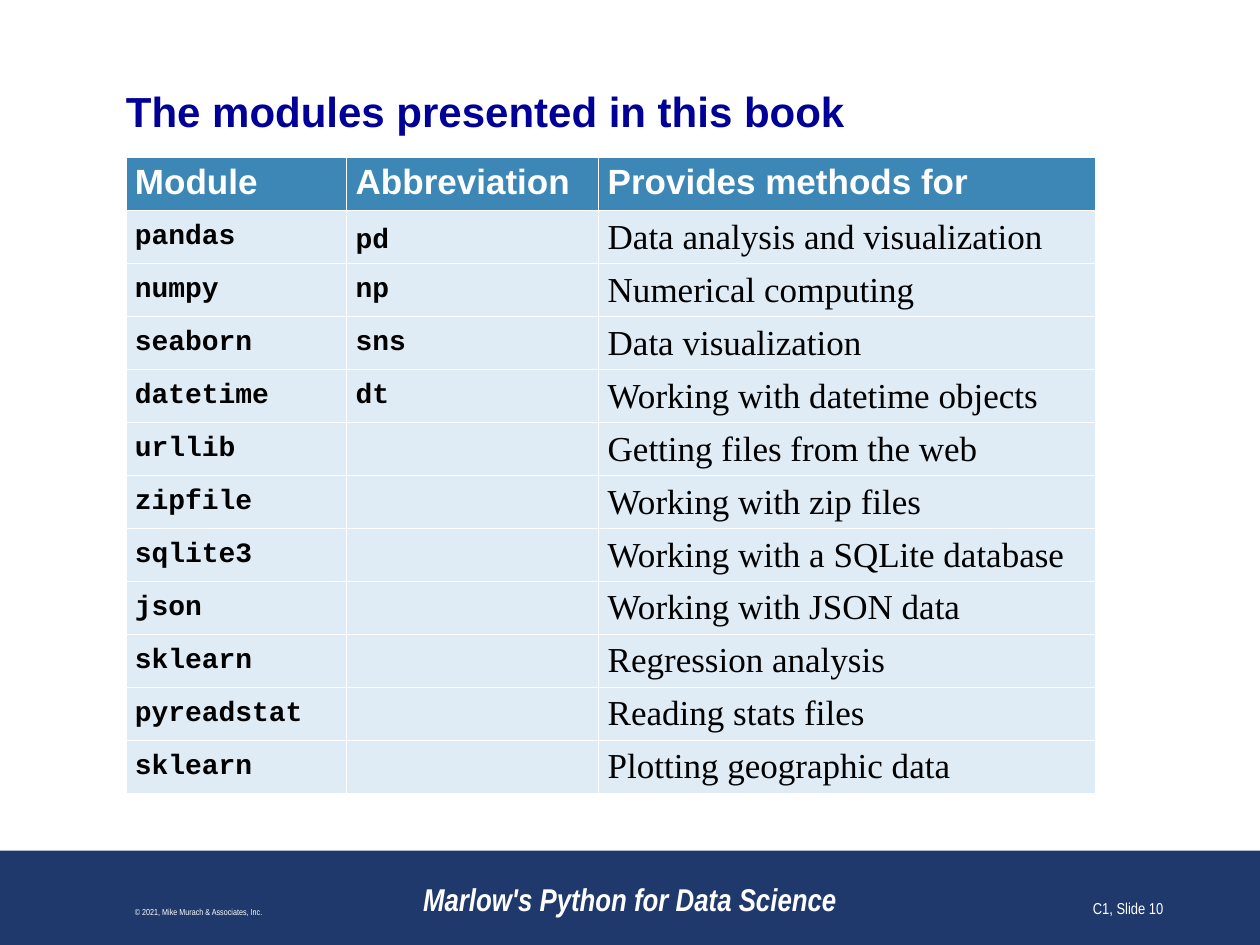
"""Build the slide that lists the modules presented in the book."""
from pptx import Presentation
from pptx import util as u
from pptx.dml.color import RGBColor
from pptx.enum import shapes, text

NAVY = RGBColor(0x20, 0x39, 0x6D)
TITLE_BLUE = RGBColor(0x00, 0x00, 0x99)
HEADER_BLUE = RGBColor(0x3D, 0x87, 0xB7)
PALE_BLUE = RGBColor(0xDF, 0xEC, 0xF5)
WHITE = RGBColor(0xFF, 0xFF, 0xFF)
BLACK = RGBColor(0x00, 0x00, 0x00)

HEADERS = ("Module", "Abbreviation", "Provides methods for")
MODULES = [
    ("pandas", "pd", "Data analysis and visualization"),
    ("numpy", "np", "Numerical computing"),
    ("seaborn", "sns", "Data visualization"),
    ("datetime", "dt", "Working with datetime objects"),
    ("urllib", "", "Getting files from the web"),
    ("zipfile", "", "Working with zip files"),
    ("sqlite3", "", "Working with a SQLite database"),
    ("json", "", "Working with JSON data"),
    ("sklearn", "", "Regression analysis"),
    ("pyreadstat", "", "Reading stats files"),
    ("sklearn", "", "Plotting geographic data"),
]
COL_WIDTHS = (4.45, 5.08, 10.01)
ROW_HEIGHT = 1.04


def add_run(p, words, font, size, color, bold=False, italic=False):
    r = p.add_run()
    r.text = words
    r.font.name = font
    r.font.size = u.Pt(size)
    r.font.color.rgb = color
    r.font.bold = bold
    r.font.italic = italic


def add_box(s, left, top, width, height, anchor, align):
    tf = s.shapes.add_textbox(u.Cm(left), u.Cm(top), u.Cm(width), u.Cm(height)).text_frame
    tf.word_wrap = True
    tf.vertical_anchor = anchor
    tf.paragraphs[0].alignment = align
    return tf


prs = Presentation()
prs.slide_width = u.Cm(25.4)
prs.slide_height = u.Cm(19.05)
s = prs.slides.add_slide(prs.slide_layouts[6])

footer = s.shapes.add_shape(
    shapes.MSO_SHAPE.RECTANGLE, 0, u.Cm(17.15), prs.slide_width, u.Cm(1.9))
footer.shadow.inherit = False
footer.fill.solid()
footer.fill.fore_color.rgb = NAVY
footer.line.fill.background()

tf = add_box(s, 2.54, 1.73, 20.32, 1.02, text.MSO_ANCHOR.MIDDLE, text.PP_ALIGN.LEFT)
tf.margin_left = tf.margin_right = tf.margin_top = tf.margin_bottom = 0
add_run(tf.paragraphs[0], "The modules presented in this book", "Arial", 24, TITLE_BLUE, True)

rows = [HEADERS] + MODULES
table = s.shapes.add_table(
    len(rows), len(HEADERS), u.Cm(2.54), u.Cm(3.18),
    u.Cm(sum(COL_WIDTHS)), u.Cm(ROW_HEIGHT * len(rows))).table
table.horz_banding = False
for column, width in zip(table.columns, COL_WIDTHS):
    column.width = u.Cm(width)

for i, row in enumerate(rows):
    table.rows[i].height = u.Cm(ROW_HEIGHT)
    for j, words in enumerate(row):
        cell = table.cell(i, j)
        cell.margin_left = cell.margin_right = u.Cm(0.18)
        cell.margin_top = cell.margin_bottom = u.Cm(0.11)
        cell.fill.solid()
        cell.fill.fore_color.rgb = PALE_BLUE if i else HEADER_BLUE
        cell.vertical_anchor = text.MSO_ANCHOR.MIDDLE if i else text.MSO_ANCHOR.TOP
        p = cell.text_frame.paragraphs[0]
        p.space_after = u.Pt(3 if i else 6)
        if not words:
            p.font.size = u.Pt(16)
        elif i == 0:
            add_run(p, words, "Arial", 20, WHITE, True)
        elif j < 2:
            add_run(p, words, "Courier New", 16, BLACK, True)
        else:
            add_run(p, words, "Times New Roman", 20, BLACK)
add_run(table.cell(1, 1).text_frame.paragraphs[0], " ", "Times New Roman", 20, BLACK)

for left, width, align, words, size, strong in (
    (7.62, 10.16, text.PP_ALIGN.CENTER, "Marlow's Python for Data Science", 18, True),
    (0.2, 7.62, text.PP_ALIGN.CENTER, "© 2021, Mike Murach & Associates, Inc.", 5, False),
    (18.42, 5.28, text.PP_ALIGN.RIGHT, "C1, Slide 10", 9, False),
):
    tf = add_box(s, left, 17.35, width, 1.27, text.MSO_ANCHOR.BOTTOM, align)
    add_run(tf.paragraphs[0], words, "Arial Narrow", size, WHITE, strong, strong)

prs.save("out.pptx")
